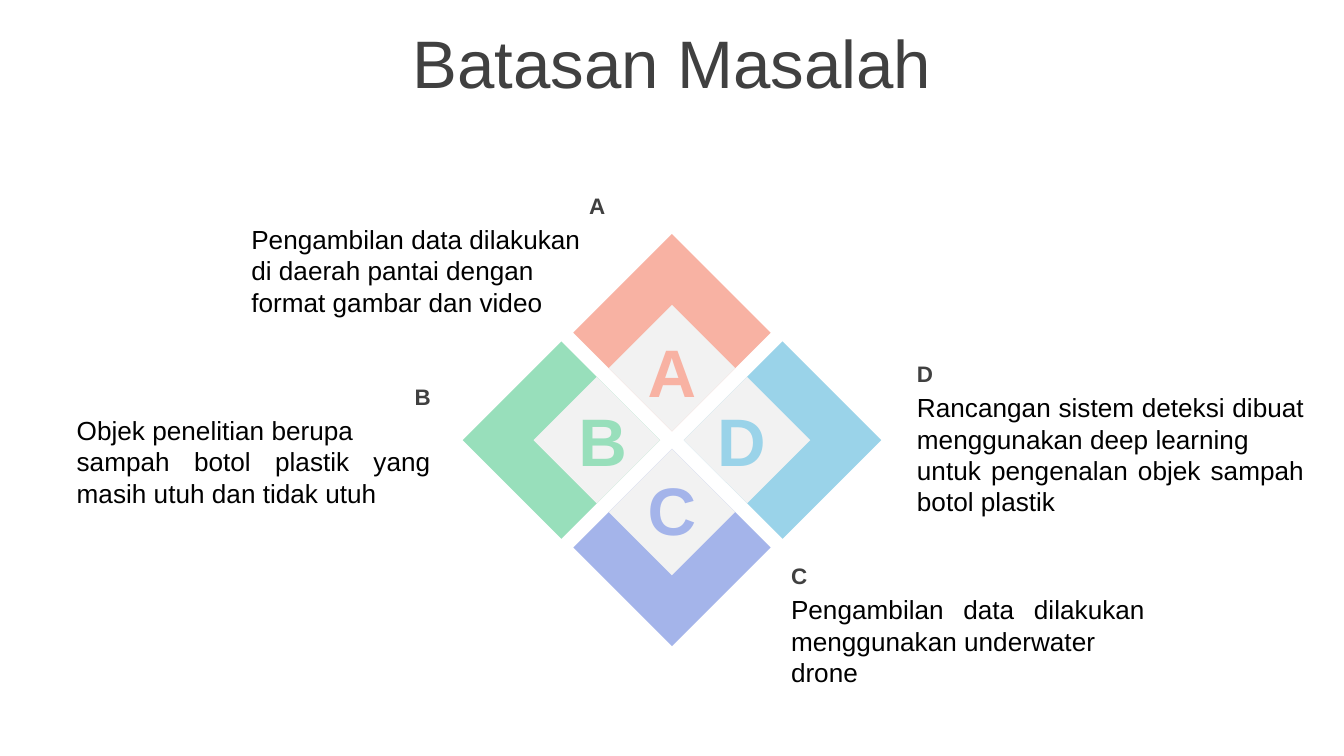
"""Build the "Batasan Masalah" slide: four diamonds with four captions."""
import pptx
import pptx.dml.color
import pptx.enum.shapes
import pptx.enum.text
import pptx.util

Cm = pptx.util.Cm
RGBColor = pptx.dml.color.RGBColor
Align = pptx.enum.text.PP_ALIGN
Anchor = pptx.enum.text.MSO_ANCHOR

DARK = RGBColor(0x40, 0x40, 0x40)
BLACK = RGBColor(0x00, 0x00, 0x00)
PALE = RGBColor(0xF2, 0xF2, 0xF2)
CORAL = RGBColor(0xF8, 0xB2, 0xA3)
GREEN = RGBColor(0x98, 0xDF, 0xBB)
INDIGO = RGBColor(0xA4, 0xB4, 0xEA)
SKY = RGBColor(0x9A, 0xD3, 0xE9)

TITLE = "Batasan Masalah"
ITEMS = [
    {"letter": "A", "color": CORAL, "direction": (0, -1),
     "corner": (4.5, 3.5), "size": (7.19, 2.06), "align": Align.RIGHT,
     "lines": ["Pengambilan data dilakukan", "di daerah pantai dengan",
               "format gambar dan video"]},
    {"letter": "B", "color": GREEN, "direction": (-1, 0),
     "corner": (1.2, 7.11), "size": (7.19, 2.06), "align": Align.RIGHT,
     "lines": ["Objek penelitian berupa",
               "sampah botol plastik yang masih utuh dan tidak utuh"]},
    {"letter": "C", "color": INDIGO, "direction": (0, 1),
     "corner": (14.7, 10.5), "size": (7.19, 2.06), "align": Align.LEFT,
     "lines": ["Pengambilan data dilakukan menggunakan underwater", "drone"]},
    {"letter": "D", "color": SKY, "direction": (1, 0),
     "corner": (17.08, 6.68), "size": (7.82, 2.64), "align": Align.LEFT,
     "lines": ["Rancangan sistem deteksi dibuat menggunakan deep learning",
               "untuk pengenalan objek sampah botol plastik"]},
]

SLIDE_WIDTH, SLIDE_HEIGHT = 25.4, 14.29
CENTER_X, CENTER_Y = 12.7, 8.32
OUTER_SIZE, OUTER_REACH = 3.73, (2.09, 2.03)
INNER_SIZE, INNER_REACH = 2.39, (1.42, 1.36)
LETTER_WIDTH, LETTER_HEIGHT, LETTER_REACH = 1.55, 1.8, (1.31, 1.3)
HEADING_HEIGHT, BODY_DROP = 0.76, 0.6


def place(direction, reach, width, height):
    """Return the box centred at a distance from the middle of the figure."""
    x = CENTER_X + direction[0] * reach[0]
    y = CENTER_Y + direction[1] * reach[1]
    return x - width / 2, y - height / 2, width, height


def add_diamond(page, area, color):
    """Add a plain diamond."""
    diamond = page.shapes.add_shape(
        pptx.enum.shapes.MSO_SHAPE.DIAMOND, *map(Cm, area))
    diamond.shadow.inherit = False
    diamond.fill.solid()
    diamond.fill.fore_color.rgb = color
    diamond.line.fill.background()


def add_text(page, area, lines, size, color, align, bold=False, anchor=Anchor.TOP):
    """Add a text box with one paragraph for each line."""
    box = page.shapes.add_textbox(*map(Cm, area))
    frame = box.text_frame
    frame.word_wrap = True
    frame.vertical_anchor = anchor
    for index, line in enumerate(lines):
        para = frame.add_paragraph() if index else frame.paragraphs[0]
        para.alignment = align
        span = para.add_run()
        span.text = line
        span.font.name = "Arial"
        span.font.size = pptx.util.Pt(size)
        span.font.bold = bold
        span.font.color.rgb = color


def main():
    """Compose and save the deck."""
    deck = pptx.Presentation()
    deck.slide_width, deck.slide_height = Cm(SLIDE_WIDTH), Cm(SLIDE_HEIGHT)
    page = deck.slides.add_slide(deck.slide_layouts[6])
    add_text(page, (0, 0.36, SLIDE_WIDTH, 1.6), [TITLE], 36, DARK,
             Align.CENTER, anchor=Anchor.MIDDLE)

    for item in ITEMS:
        add_diamond(page, place(item["direction"], OUTER_REACH, OUTER_SIZE,
                                OUTER_SIZE), item["color"])
    for item in ITEMS:
        add_diamond(page, place(item["direction"], INNER_REACH, INNER_SIZE,
                                INNER_SIZE), PALE)
    for item in ITEMS:
        left, top = item["corner"]
        width, height = item["size"]
        add_text(page, (left, top + BODY_DROP, width, height), item["lines"],
                 14, BLACK, Align.JUSTIFY)
        add_text(page, (left, top, width, HEADING_HEIGHT), [item["letter"]],
                 12, DARK, item["align"], bold=True)
        add_text(page, place(item["direction"], LETTER_REACH, LETTER_WIDTH,
                             LETTER_HEIGHT), [item["letter"]],
                 36, item["color"], Align.CENTER, bold=True)
    deck.save("out.pptx")


if __name__ == "__main__":
    main()
